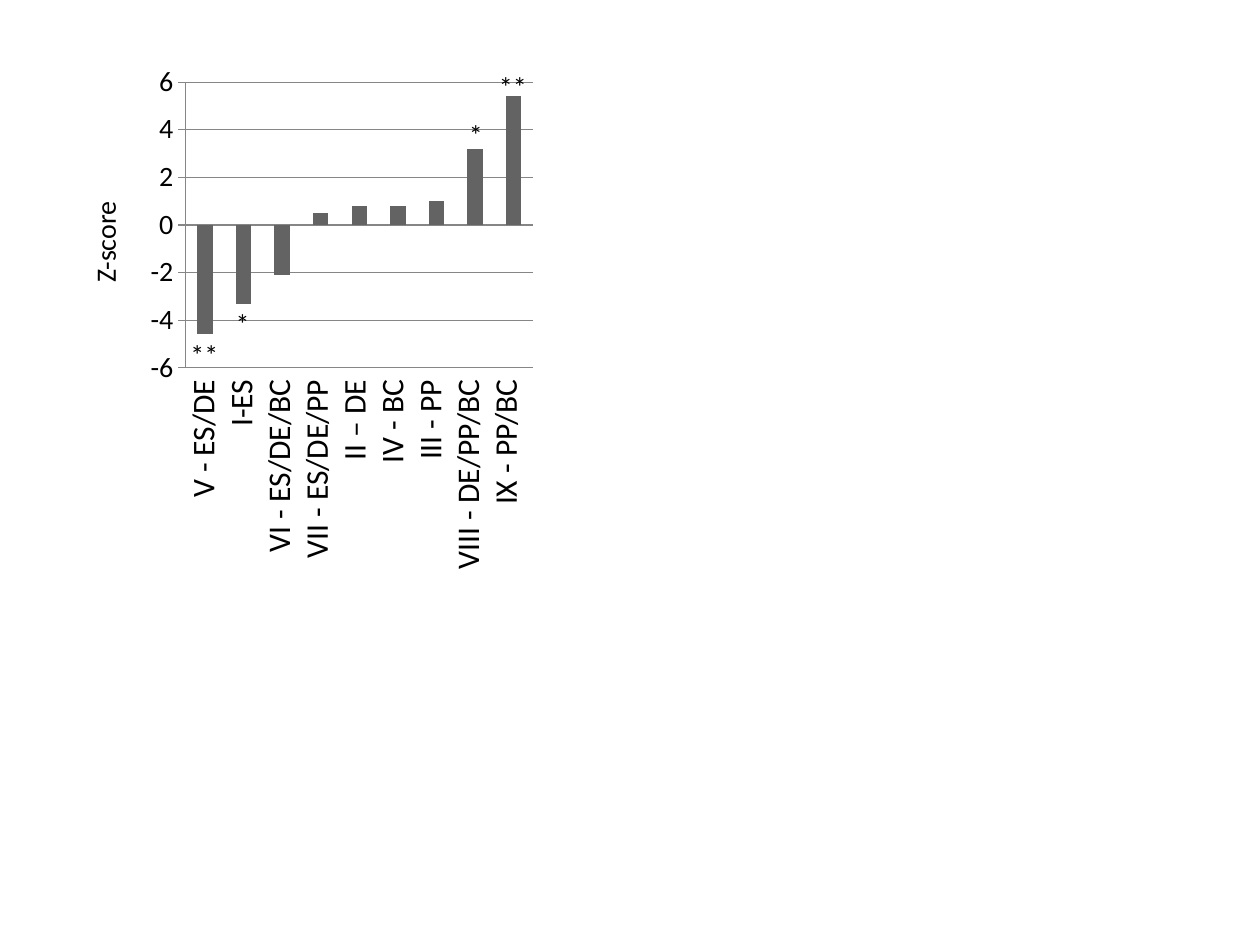
from lxml import etree
from pptx import Presentation
from pptx import util as u
from pptx.chart import data as cd
from pptx.dml.color import RGBColor
from pptx.enum import chart as ch, text
from pptx.oxml import ns

COLOURS = {"text": "000000", "bar": "636363", "line": "868686"}

Z_SCORES = [-4.6, -3.3, -2.1, 0.5, 0.8, 0.8, 1, 3.2, 5.4]
GROUPS = ["V - ES/DE", "I-ES", "VI - ES/DE/BC", "VII - ES/DE/PP", "II – DE",
          "IV - BC", "III - PP", "VIII - DE/PP/BC", "IX - PP/BC"]
# significance mark, left, top (cm)
MARKS = [("*", 1.6, 6.05), ("*", 6.3, 2.24), ("**", 7.19, 1.27), ("**", 0.97, 6.68)]
LABEL_SIZE = (3.68, 0.94)


class Deck:
    """Style and current slide, with one method per kind of element."""
    font = "Calibri"

    def __init__(self, width, height):
        self.prs = Presentation()
        self.prs.slide_width, self.prs.slide_height = u.Cm(width), u.Cm(height)
        self.s = self.prs.slides.add_slide(self.prs.slide_layouts[6])

    def colour(self, name):
        return RGBColor.from_string(COLOURS[name])

    def style(self, font, size):
        font.name, font.size = self.font, u.Pt(size)
        font.color.rgb = self.colour("text")

    def label(self, lines, x, y, w, h, size=16, rotation=0):
        """Right-aligned text box, one paragraph per line."""
        sp = self.s.shapes.add_textbox(*map(u.Cm, (x, y, w, h)))
        sp.rotation = rotation
        tf = sp.text_frame
        tf.word_wrap = True
        tf.auto_size = text.MSO_AUTO_SIZE.SHAPE_TO_FIT_TEXT
        for i, line in enumerate(lines):
            p = tf.add_paragraph() if i else tf.paragraphs[0]
            p.alignment = text.PP_ALIGN.RIGHT
            r = p.add_run()
            r.text = line
            self.style(r.font, size)

    def columns(self, values, x, y, w, h, plot):
        data = cd.CategoryChartData()
        data.categories = [str(i + 1) for i in range(len(values))]
        data.add_series("Series 1", values)
        chart = self.s.shapes.add_chart(ch.XL_CHART_TYPE.COLUMN_CLUSTERED,
                                        *map(u.Cm, (x, y, w, h)), data).chart
        chart.has_legend = chart.has_title = False
        self.style(chart.font, 10)
        bars = chart.plots[0]
        bars.vary_by_categories = False
        bars.gap_width = 150
        series = bars.series[0]
        series.invert_if_negative = False
        series.format.fill.solid()
        series.format.fill.fore_color.rgb = self.colour("bar")
        chart.category_axis.visible = False
        axis = chart.value_axis
        axis.minimum_scale, axis.maximum_scale, axis.major_unit = -6, 6, 2
        axis.major_tick_mark = ch.XL_TICK_MARK.CROSS
        axis.has_major_gridlines = True
        self.style(axis.tick_labels.font, 16)
        for part in (axis, axis.major_gridlines):
            part.format.line.color.rgb = self.colour("line")
            part.format.line.width = u.Pt(0.75)
        self.place_plot(chart, plot)

    def place_plot(self, chart, plot):
        """Fix the inner plot area, as fractions of the chart."""
        area = chart._chartSpace.chart.plotArea
        for old in area.findall(ns.qn("c:layout")):
            area.remove(old)
        layout = etree.Element(ns.qn("c:layout"))
        area.insert(0, layout)
        manual = etree.SubElement(layout, ns.qn("c:manualLayout"))
        settings = [("layoutTarget", "inner"), ("xMode", "edge"), ("yMode", "edge")]
        for tag, val in settings + list(zip("xywh", plot)):
            etree.SubElement(manual, ns.qn("c:" + tag)).set("val", str(val))


def main():
    deck = Deck(25.4, 19.05)
    deck.columns(Z_SCORES, 1.9, 1.07, 9.68, 7.62, (0.19, 0.077, 0.724, 0.756))
    deck.label(["Z-score"], 0.28, 5.18, *LABEL_SIZE, rotation=270)
    deck.label(GROUPS, 4.62, 6.35, 5.08, 7.19, size=18, rotation=270)
    for mark, x, y in MARKS:
        deck.label([mark], x, y, *LABEL_SIZE)
    deck.prs.save("out.pptx")


if __name__ == "__main__":
    main()
